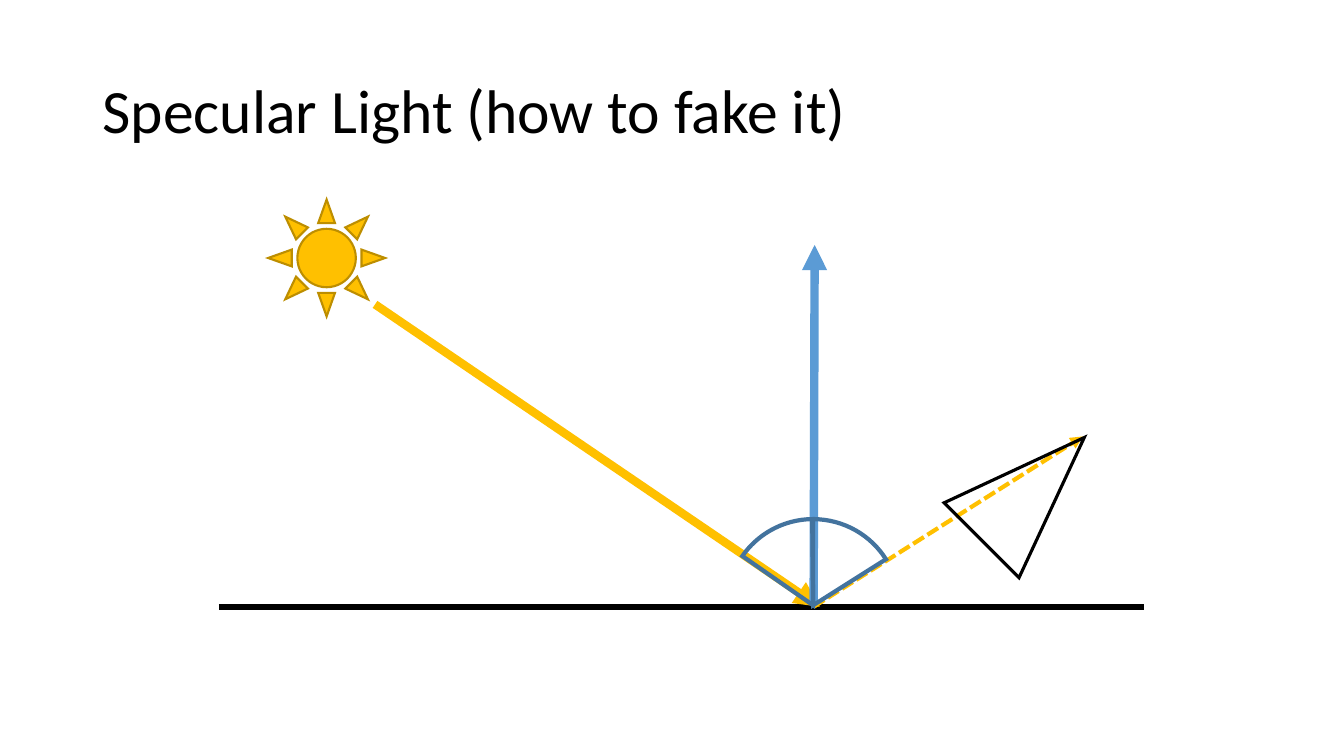
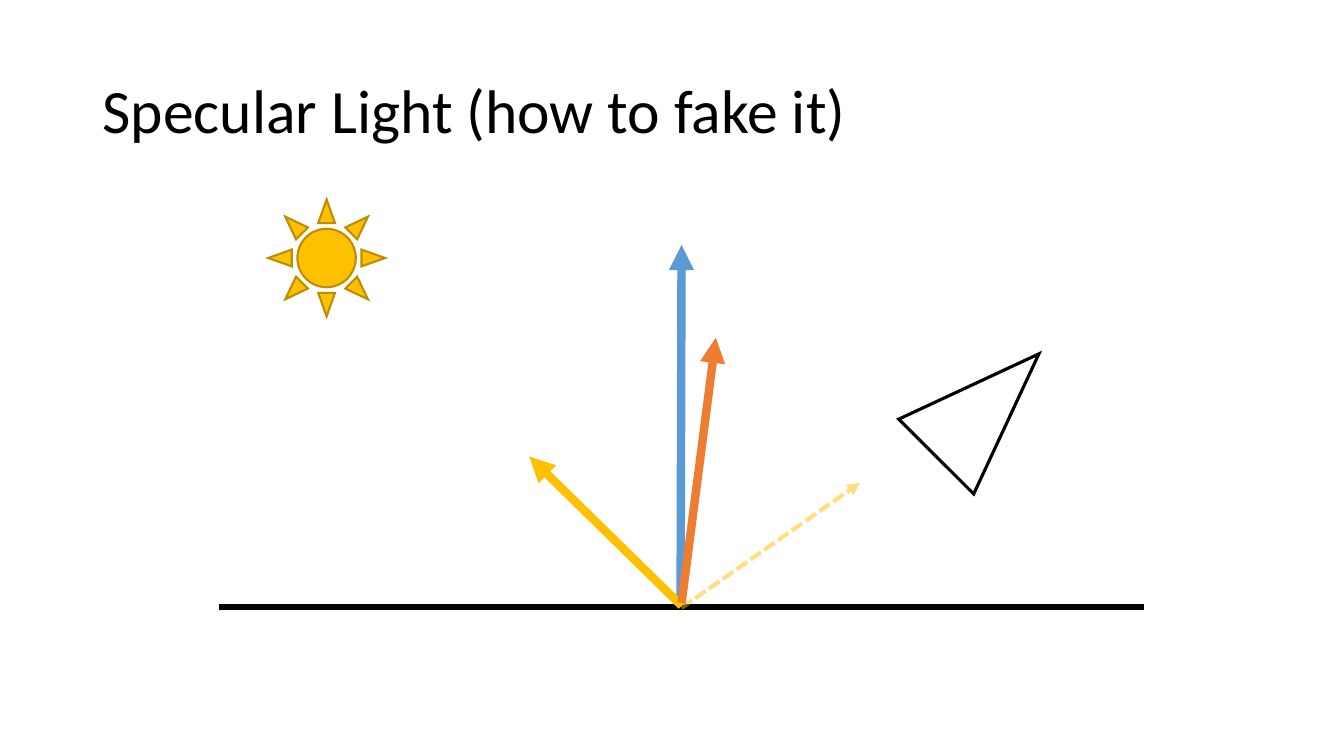
from lxml import etree
from pptx import Presentation
from pptx.dml.color import RGBColor
from pptx.enum.dml import MSO_LINE
from pptx.enum.shapes import MSO_CONNECTOR, MSO_SHAPE
from pptx.enum.text import MSO_ANCHOR
from pptx.oxml.ns import qn
from pptx.util import Inches, Pt

STRAIGHT = MSO_CONNECTOR.STRAIGHT
SUN, TRIANGLE, PIE = MSO_SHAPE.SUN, MSO_SHAPE.ISOSCELES_TRIANGLE, MSO_SHAPE.PIE
SHORT_DASH = MSO_LINE.SQUARE_DOT
MIDDLE = MSO_ANCHOR.MIDDLE

# Shared look
BLACK, GOLD, DARK_GOLD = "000000", "FFC000", "BD8E00"
BLUE, DARK_BLUE, ORANGE = "5B9BD5", "43739E", "ED7D31"
TITLE = "Specular Light (how to fake it)"
TITLE_BOX = (0.92, 0.4, 11.5, 1.45)
TITLE_FONT = {"name": "Calibri", "size": Pt(44)}
GROUND = {"start": (2.17, 6.02), "end": (11.35, 6.02), "color": BLACK,
          "width": 4.5, "arrow": False}
SUN_SHAPE = {"kind": SUN, "place": (2.66, 1.98, 1.16, 1.16),
             "color": DARK_GOLD, "width": 1.5, "fill": GOLD}


def vector(start, end, color, **style):
    return {"start": start, "end": end, "color": color, **style}


def reflection(start, end, **style):
    return vector(start, end, GOLD, width=3, dash=True, **style)


def viewer(left, top):
    return {"kind": TRIANGLE, "place": (left, top, 1.05, 1.44),
            "color": BLACK, "width": 2.25, "rotation": 45}


def angle_mark(first, last):
    return {"kind": PIE, "place": (7.21, 5.15, 1.71, 1.71),
            "color": DARK_BLUE, "width": 3, "angles": (first, last)}


# What each slide shows, from back to front
SLIDES = [
    [
        vector((3.72, 3.02), (8.13, 6.02), GOLD),
        reflection((8.07, 6.02), (10.74, 4.33)),
        viewer(9.72, 4.13),
        vector((8.07, 6), (8.08, 2.43), BLUE),
        angle_mark(214.84, 270),
        angle_mark(269.39, 327.69),
    ],
    [
        vector((6.75, 6), (6.76, 2.43), BLUE),
        vector((6.76, 6.01), (5.25, 4.53), GOLD),
        viewer(9.27, 3.3),
        reflection((6.76, 6.03), (8.53, 4.79), opacity=50),
        vector((6.76, 5.98), (7.1, 3.35), ORANGE),
    ],
]


def rgb(value):
    return RGBColor.from_string(value)


def inches(values):
    return [Inches(value) for value in values]


def set_line(item, color, width):
    item.line.color.rgb = rgb(color)
    item.line.width = Pt(width)


def add_line(page, start, end, color, width=6, dash=False, opacity=None, arrow=True):
    line = page.shapes.add_connector(STRAIGHT, *inches(start + end))
    set_line(line, color, width)
    if dash:
        line.line.dash_style = SHORT_DASH
    properties = line.line._get_or_add_ln()
    if opacity is not None:
        tint = properties.find(".//" + qn("a:srgbClr"))
        etree.SubElement(tint, qn("a:alpha"), val=str(opacity * 1000))
    if arrow:
        etree.SubElement(properties, qn("a:tailEnd"), type="triangle")
    etree.SubElement(line._element.spPr, qn("a:effectLst"))


def add_figure(page, kind, place, color, width, fill=None, rotation=0, angles=()):
    figure = page.shapes.add_shape(kind, *inches(place))
    figure.shadow.inherit = False
    figure.rotation = rotation
    # Pie angles are stored in 60000ths of a degree, adjustments in 100000ths
    for index, angle in enumerate(angles):
        figure.adjustments[index] = angle * 0.6
    if fill:
        figure.fill.solid()
        figure.fill.fore_color.rgb = rgb(fill)
    else:
        figure.fill.background()
    set_line(figure, color, width)
    etree.SubElement(figure.line._get_or_add_ln(), qn("a:miter"), lim="800000")


def add_title(page):
    box = page.shapes.add_textbox(*inches(TITLE_BOX))
    box.text_frame.word_wrap = True
    box.text_frame.vertical_anchor = MIDDLE
    para = box.text_frame.paragraphs[0]
    para.line_spacing = 0.9
    span = para.add_run()
    span.text = TITLE
    for name, value in TITLE_FONT.items():
        setattr(span.font, name, value)
    span.font.color.rgb = rgb(BLACK)


def main():
    deck = Presentation()
    deck.slide_width, deck.slide_height = Inches(13.33), Inches(7.5)
    for parts in SLIDES:
        page = deck.slides.add_slide(deck.slide_layouts[6])
        add_title(page)
        for part in [GROUND, SUN_SHAPE, *parts]:
            add_part = add_figure if "kind" in part else add_line
            add_part(page, **part)
    deck.save("out.pptx")


if __name__ == "__main__":
    main()
